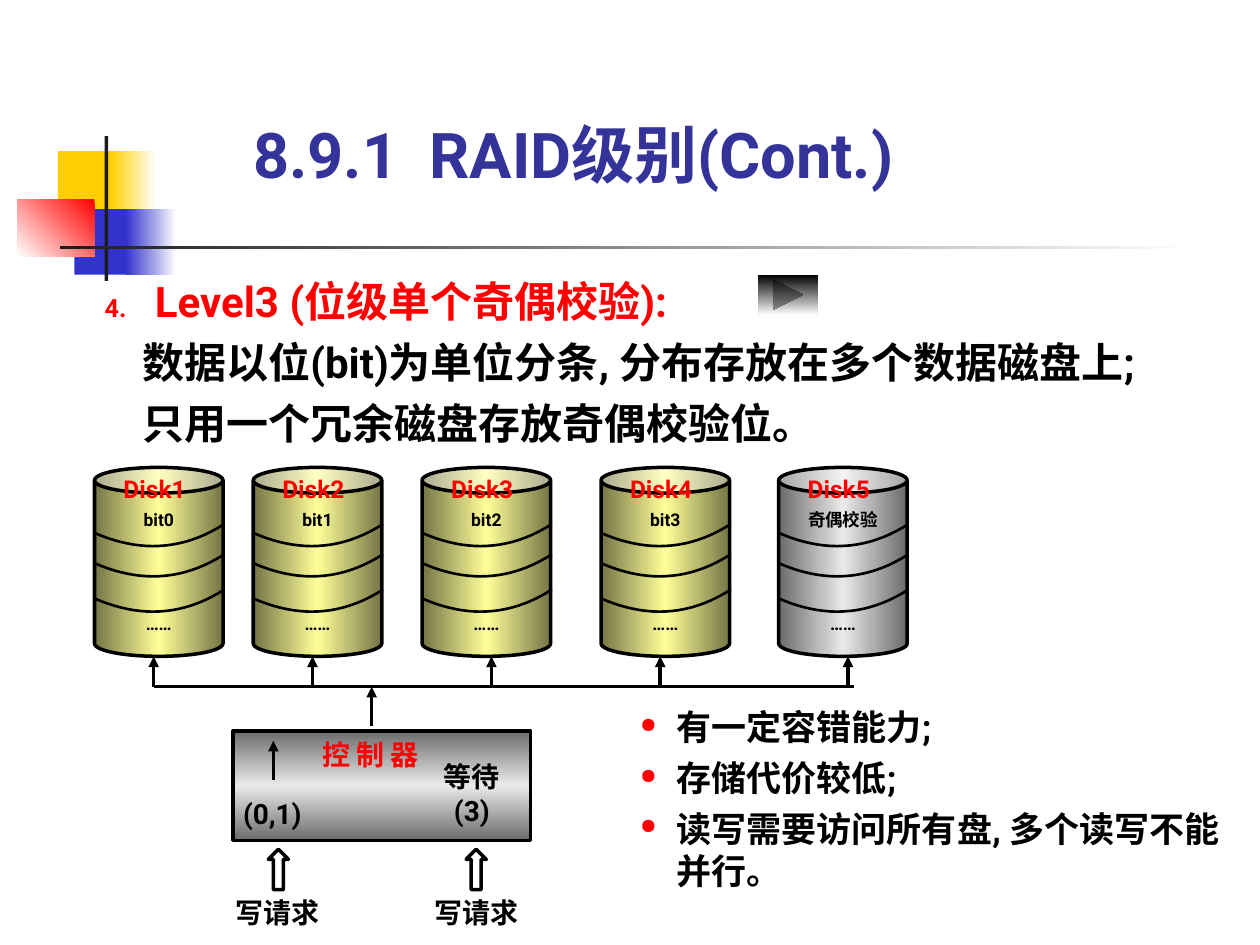
from dataclasses import dataclass

from lxml.etree import SubElement
from pptx import Presentation
from pptx.dml.color import RGBColor
from pptx.enum.lang import MSO_LANGUAGE_ID
from pptx.enum.shapes import MSO_CONNECTOR, MSO_SHAPE
from pptx.enum.text import MSO_ANCHOR, PP_ALIGN
from pptx.oxml.ns import qn
from pptx.util import Inches, Pt


@dataclass(frozen=True)
class Theme:
    font: str = "Roboto"
    # Colours
    title: str = "333399"
    accent: str = "FF0000"
    ink: str = "000000"
    white: str = "FFFFFF"
    yellow: str = "FFCF01"
    blue: str = "3333CC"
    rule: str = "1C1C1C"
    data_disk: tuple = ("757546", "FFFF99", "757546")
    steel: tuple = ("6B6B6B", "EAEAEA", "6B6B6B")
    # Type sizes and line widths
    title_size: int = 36
    body_size: int = 24
    point_size: int = 20
    label_size: int = 16
    disk_size: int = 14
    small_size: int = 10
    line: float = 2
    band_line: float = 1.5


class SlideBuilder:
    def __init__(self, slide, theme):
        self.s, self.t = slide, theme

    def paint(self, sp, fill=None, angle=0, line=None):
        """Fill with a colour, a tuple of gradient colours, or nothing."""
        sp.shadow.inherit = False
        if fill is None:
            sp.fill.background()
        elif isinstance(fill, str):
            sp.fill.solid()
            sp.fill.fore_color.rgb = RGBColor.from_string(fill)
        else:
            sp.fill.gradient()
            sp.fill.gradient_angle = (360 - angle) % 360
            stops = sp._element.spPr.find(qn("a:gradFill")).find(qn("a:gsLst"))
            for old in list(stops):
                stops.remove(old)
            for i, color in enumerate(fill):
                pos = str(100000 * i // (len(fill) - 1))
                gs = SubElement(stops, qn("a:gs"), pos=pos)
                SubElement(gs, qn("a:srgbClr"), val=color)
        if line:
            sp.line.color.rgb = RGBColor.from_string(self.t.ink)
            sp.line.width = Pt(line)
        else:
            sp.line.fill.background()

    def shape(self, kind, box, fill=None, angle=0, line=None):
        sp = self.s.shapes.add_shape(kind, *map(Inches, box))
        self.paint(sp, fill, angle, line)
        return sp

    def frame(self, tf, wrap=True, anchor=MSO_ANCHOR.TOP, margins=(0, 0, 0, 0)):
        left, top, right, bottom = map(Inches, margins)
        values = dict(word_wrap=wrap, vertical_anchor=anchor, margin_left=left,
                      margin_top=top, margin_right=right, margin_bottom=bottom)
        for name, value in values.items():
            setattr(tf, name, value)

    def paragraphs(self, tf, lines, size, color, **formats):
        """Fill a text frame with one paragraph per line."""
        for i, line in enumerate(lines):
            p = tf.paragraphs[0] if i == 0 else tf.add_paragraph()
            for name, value in formats.items():
                if i or name != "space_before":
                    setattr(p, name, value)
            r = p.add_run()
            r.text = line
            values = dict(name=self.t.font, size=Pt(size), bold=True,
                          language_id=MSO_LANGUAGE_ID.SIMPLIFIED_CHINESE)
            for name, value in values.items():
                setattr(r.font, name, value)
            r.font.color.rgb = RGBColor.from_string(color)

    def text(self, box, lines, size, color, **formats):
        tf = self.s.shapes.add_textbox(*map(Inches, box)).text_frame
        self.frame(tf)
        self.paragraphs(tf, lines, size, color, **formats)
        return tf

    def title(self, box, text, tab):
        sp = self.s.shapes.title
        for name, value in zip(("left", "top", "width", "height"), box):
            setattr(sp, name, Inches(value))
        self.frame(sp.text_frame, anchor=MSO_ANCHOR.BOTTOM)
        self.paragraphs(sp.text_frame, [text], self.t.title_size, self.t.title,
                        alignment=PP_ALIGN.LEFT)
        pPr = sp.text_frame.paragraphs[0]._p.get_or_add_pPr()
        tabs = SubElement(pPr, qn("a:tabLst"))
        SubElement(tabs, qn("a:tab"), pos=str(Inches(tab)), algn="l")

    def indent(self, p, hang, first=0):
        pPr = p._p.get_or_add_pPr()
        pPr.set("marL", str(Inches(hang)))
        pPr.set("indent", str(Inches(first)))
        return pPr

    def bullet(self, p, hang, tag, **attrs):
        pPr = self.indent(p, hang, -hang)
        color = SubElement(pPr, qn("a:buClr"))
        SubElement(color, qn("a:srgbClr"), val=self.t.accent)
        SubElement(pPr, qn("a:buSzPct"), val="60000")
        SubElement(pPr, qn(tag), **attrs)

    def line(self, start, end, arrow=False):
        cx = self.s.shapes.add_connector(
            MSO_CONNECTOR.STRAIGHT, *map(Inches, (*start, *end)))
        cx.line.color.rgb = RGBColor.from_string(self.t.ink)
        cx.line.width = Pt(self.t.line)
        spPr = cx._element.spPr
        if arrow:
            SubElement(spPr.find(qn("a:ln")), qn("a:headEnd"), type="triangle")
        SubElement(spPr, qn("a:effectLst"))

    def band(self, x, y):
        """Sagging cubic curve across a disk, from its left to its right edge."""
        ends, sag, steps = (y + 0.07, y), y + 0.22, 20
        points = []
        for i in range(steps + 1):
            u = i / steps
            height = ((1 - u) ** 3 * ends[0] + 3 * u * (1 - u) * sag
                      + u ** 3 * ends[1])
            points.append((Inches(x + 1.03 * u), Inches(height)))
        fb = self.s.shapes.build_freeform(*points[0])
        fb.add_line_segments(points[1:], close=False)
        self.paint(fb.convert_to_shape(), line=self.t.band_line)

    def disk(self, x, name, content, fill):
        sp = self.shape(MSO_SHAPE.CAN, (x, 3.71, 1.02, 1.5), fill, 180, self.t.line)
        sp.adjustments[0] = 0.2
        tf = sp.text_frame
        self.frame(tf, False, MSO_ANCHOR.MIDDLE, (0.1, 0, 0.1, 0.05))
        self.paragraphs(tf, [content, "……"], self.t.small_size, self.t.ink,
                        alignment=PP_ALIGN.CENTER, line_spacing=1.6,
                        space_before=Pt(40))
        self.text((x + 0.23, 3.76, 0.55, 0.23), [name], self.t.disk_size, self.t.accent)
        for y in (4.16, 4.4, 4.68):
            self.band(x, y)


def main():
    prs = Presentation()
    prs.slide_width, prs.slide_height = Inches(10), Inches(7.5)
    t = Theme()
    b = SlideBuilder(prs.slides.add_slide(prs.slide_layouts[5]), t)

    # Corner ornament and rule
    for box, fill, angle in (
        ((0.46, 1.2, 0.48, 0.52), t.yellow, 0),
        ((0.88, 1.2, 0.36, 0.52), (t.white, t.yellow), 180),
        ((0.59, 1.66, 0.46, 0.52), t.blue, 0),
        ((1, 1.66, 0.4, 0.52), (t.white, t.blue), 180),
        ((0.14, 1.58, 0.61, 0.46), (t.accent, t.white), 135),
        ((0.83, 1.08, 0.03, 1.15), t.rule, 0),
        ((0.48, 1.95, 9, 0.03), (t.white, t.rule), 180),
    ):
        b.shape(MSO_SHAPE.RECTANGLE, box, fill, angle)

    # Title and introduction
    b.title((2.01, 0.92, 5.77, 0.6), "8.9.1\tRAID级别(Cont.)", 1.4)
    tf = b.text((0.83, 2.19, 8.82, 1.37),
                ["Level3 (位级单个奇偶校验):",
                 "数据以位(bit)为单位分条, 分布存放在多个数据磁盘上;",
                 "只用一个冗余磁盘存放奇偶校验位。"],
                t.body_size, t.ink, space_before=Pt(6))
    heading, *details = tf.paragraphs
    heading.runs[0].font.color.rgb = RGBColor.from_string(t.accent)
    b.bullet(heading, 0.4, "a:buAutoNum", type="arabicPeriod", startAt="4")
    for p in details:
        b.indent(p, 0.3)

    # Disks, each with an arrow from the bus
    bus_y = 5.45
    disks = ((0.75, 1.22, "bit0"), (2.01, 2.48, "bit1"), (3.35, 3.9, "bit2"),
             (4.77, 5.24, "bit3"), (6.18, 6.73, "奇偶校验"))
    for i, (x, arrow_x, content) in enumerate(disks, 1):
        fill = t.steel if i == len(disks) else t.data_disk
        b.disk(x, f"Disk{i}", content, fill)
        b.line((arrow_x, 5.21), (arrow_x, bus_y), arrow=True)
    b.line((1.22, bus_y), (6.78, bus_y))
    b.line((2.95, bus_y), (2.95, 5.76), arrow=True)

    # Properties of the level
    tf = b.text((5.08, 5.6, 4.71, 1.47),
                ["有一定容错能力;", "存储代价较低;",
                 "读写需要访问所有盘, 多个读写不能并行。"],
                t.point_size, t.ink, space_before=Pt(5))
    for p in tf.paragraphs:
        b.bullet(p, 0.29, "a:buChar", char="●")

    # Controller
    b.shape(MSO_SHAPE.RECTANGLE, (1.85, 5.8, 2.36, 0.87), t.steel, 90, t.line)
    b.text((2.56, 5.85, 0.87, 0.27), ["控 制 器"], t.label_size, t.accent)
    b.line((2.17, 5.88), (2.17, 6.19), arrow=True)
    b.text((1.93, 6.32, 0.63, 0.27), ["(0,1)"], t.label_size, t.ink)
    b.text((3.43, 6.03, 0.63, 0.53), ["等待", "(3)"], t.label_size, t.ink,
           alignment=PP_ALIGN.CENTER)

    # Write requests
    for arrow_x, label_x in ((2.13, 1.85), (3.7, 3.43)):
        b.shape(MSO_SHAPE.UP_ARROW, (arrow_x, 6.74, 0.16, 0.32), line=t.line)
        b.text((label_x, 7.11, 0.71, 0.27), ["写请求"], t.label_size, t.ink,
               alignment=PP_ALIGN.CENTER)

    # Forward button
    b.shape(MSO_SHAPE.ACTION_BUTTON_FORWARD_OR_NEXT, (6.02, 2.18, 0.47, 0.32),
            (t.ink, "FEFEFE"), 90)
    prs.save("out.pptx")


if __name__ == "__main__":
    main()
